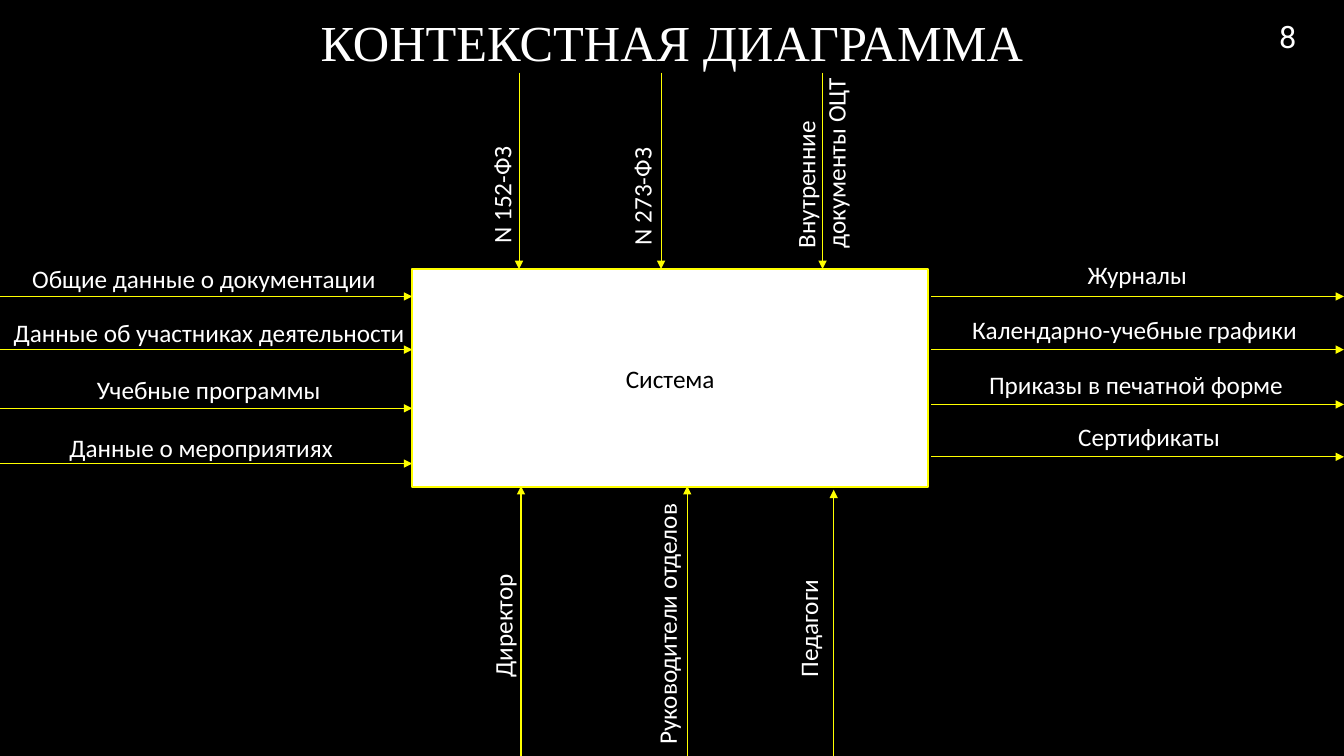
"""Build a context diagram slide: a central system box with labelled flows on four sides."""
from dataclasses import dataclass
from typing import Any

from lxml.etree import SubElement
from pptx import Presentation
from pptx.dml.color import RGBColor
from pptx.enum.shapes import MSO_CONNECTOR, MSO_SHAPE
from pptx.enum.text import MSO_ANCHOR as Anchor, MSO_AUTO_SIZE as AutoSize, PP_ALIGN as Align
from pptx.oxml.ns import qn
from pptx.util import Cm, Pt


@dataclass(frozen=True)
class Theme:
    black: RGBColor = RGBColor(0, 0, 0)
    white: RGBColor = RGBColor(255, 255, 255)
    yellow: RGBColor = RGBColor(255, 255, 0)
    title_font: str = "Times New Roman"
    body_font: str = "Calibri"
    number_font: str = "Roboto"
    title_size: float = 36
    body_size: float = 18
    number_size: float = 22
    box_line: float = 1.5
    arrow_line: float = 0.75


@dataclass(frozen=True)
class Side:
    start: float
    end: float
    vertical: bool


@dataclass(frozen=True)
class Flow:
    side: Side
    pos: float
    text: str
    label_x: float
    label_y: float
    width: float
    height: float = 1.02
    align: Align = Align.CENTER


THEME = Theme()
SLIDE_W, SLIDE_H = 33.87, 19.05
BOX_X, BOX_Y, BOX_W, BOX_H = 10.39, 6.78, 13.0, 5.49

INPUT = Side(0, BOX_X, False)
OUTPUT = Side(23.47, SLIDE_W, False)
CONTROL = Side(1.83, BOX_Y, True)
MECHANISM = Side(SLIDE_H, 12.25, True)
TEACHERS = Side(SLIDE_H, 12.34, True)

FLOWS = [
    Flow(INPUT, 7.47, "Общие данные о документации", 5.21, 7.01, 9.3, align=Align.LEFT),
    Flow(INPUT, 8.81, "Данные об участниках деятельности", 5.27, 8.38, 10.54),
    Flow(INPUT, 10.29, "Учебные программы", 5.26, 9.83, 9.3),
    Flow(INPUT, 11.68, "Данные о мероприятиях", 5.07, 11.28, 10.14),
    Flow(OUTPUT, 7.47, "Журналы", 28.66, 6.93, 10.39),
    Flow(OUTPUT, 8.81, "Календарно-учебные графики", 28.59, 8.31, 10.39),
    Flow(OUTPUT, 10.19, "Приказы в печатной форме", 28.63, 9.68, 10.31),
    Flow(OUTPUT, 11.51, "Сертификаты", 29.5, 11.0, 5.16, align=Align.LEFT),
    Flow(CONTROL, 13.08, "N 152-ФЗ", 12.64, 4.7, 3.38, align=Align.LEFT),
    Flow(CONTROL, 16.66, "N 273-ФЗ", 16.17, 4.93, 3.0, align=Align.LEFT),
    Flow(CONTROL, 20.73, "Внутренние документы ОЦТ", 20.69, 4.03, 4.95, 1.8, Align.LEFT),
    Flow(MECHANISM, 13.13, "Директор", 12.67, 15.72, 3.2, align=Align.LEFT),
    Flow(MECHANISM, 17.32, "Руководители отделов", 16.81, 15.11, 7.82, align=Align.LEFT),
    Flow(TEACHERS, 21.01, "Педагоги", 20.37, 15.72, 3.2, align=Align.LEFT),
]


def apply(target: Any, values: dict[str, Any]) -> None:
    for name, value in values.items():
        setattr(target, name, value)


def write(sp: Any, text: str, font: str, size: float, color: RGBColor,
          align: Align = Align.CENTER, anchor: Anchor = Anchor.MIDDLE) -> None:
    tf = sp.text_frame
    apply(tf, {"word_wrap": True, "auto_size": AutoSize.NONE, "vertical_anchor": anchor})
    p = tf.paragraphs[0]
    p.alignment = align
    r = p.add_run()
    r.text = text
    apply(r.font, {"name": font, "size": Pt(size), "bold": False})
    r.font.color.rgb = color


def add_system(s: Any) -> None:
    sp = s.shapes.add_shape(MSO_SHAPE.RECTANGLE, Cm(BOX_X), Cm(BOX_Y), Cm(BOX_W), Cm(BOX_H))
    sp.shadow.inherit = False
    sp.fill.solid()
    sp.fill.fore_color.rgb = THEME.white
    sp.line.color.rgb = THEME.yellow
    sp.line.width = Pt(THEME.box_line)
    write(sp, "Система", THEME.body_font, THEME.body_size, THEME.black)


def add_arrow(s: Any, flow: Flow) -> None:
    side = flow.side
    ends = [(side.start, flow.pos), (side.end, flow.pos)]
    if side.vertical:
        ends = [(y, x) for x, y in ends]
    (x1, y1), (x2, y2) = ends
    line = s.shapes.add_connector(MSO_CONNECTOR.STRAIGHT, Cm(x1), Cm(y1), Cm(x2), Cm(y2))
    line.line.color.rgb = THEME.yellow
    line.line.width = Pt(THEME.arrow_line)
    props = line._element.spPr
    SubElement(props.find(qn("a:ln")), qn("a:tailEnd"), type="triangle")
    SubElement(props, qn("a:effectLst"))


def add_label(s: Any, flow: Flow) -> None:
    sp = s.shapes.add_textbox(Cm(flow.label_x - flow.width / 2), Cm(flow.label_y - flow.height / 2),
                              Cm(flow.width), Cm(flow.height))
    sp.rotation = 270 if flow.side.vertical else 0
    write(sp, flow.text, THEME.body_font, THEME.body_size, THEME.white, flow.align, Anchor.TOP)


def main() -> None:
    prs = Presentation()
    apply(prs, {"slide_width": Cm(SLIDE_W), "slide_height": Cm(SLIDE_H)})
    s = prs.slides.add_slide(prs.slide_layouts[5])
    s.background.fill.solid()
    s.background.fill.fore_color.rgb = THEME.black

    title = s.shapes.title
    apply(title, {"left": Cm(0), "top": Cm(0.05), "width": Cm(SLIDE_W), "height": Cm(2)})
    write(title, "КОНТЕКСТНАЯ ДИАГРАММА", THEME.title_font, THEME.title_size, THEME.white)

    number = s.shapes.add_textbox(Cm(31.03), Cm(0), Cm(2.84), Cm(1.83))
    write(number, "8", THEME.number_font, THEME.number_size, THEME.white)

    add_system(s)
    for flow in FLOWS:
        add_arrow(s, flow)
        add_label(s, flow)
    prs.save("out.pptx")


if __name__ == "__main__":
    main()
